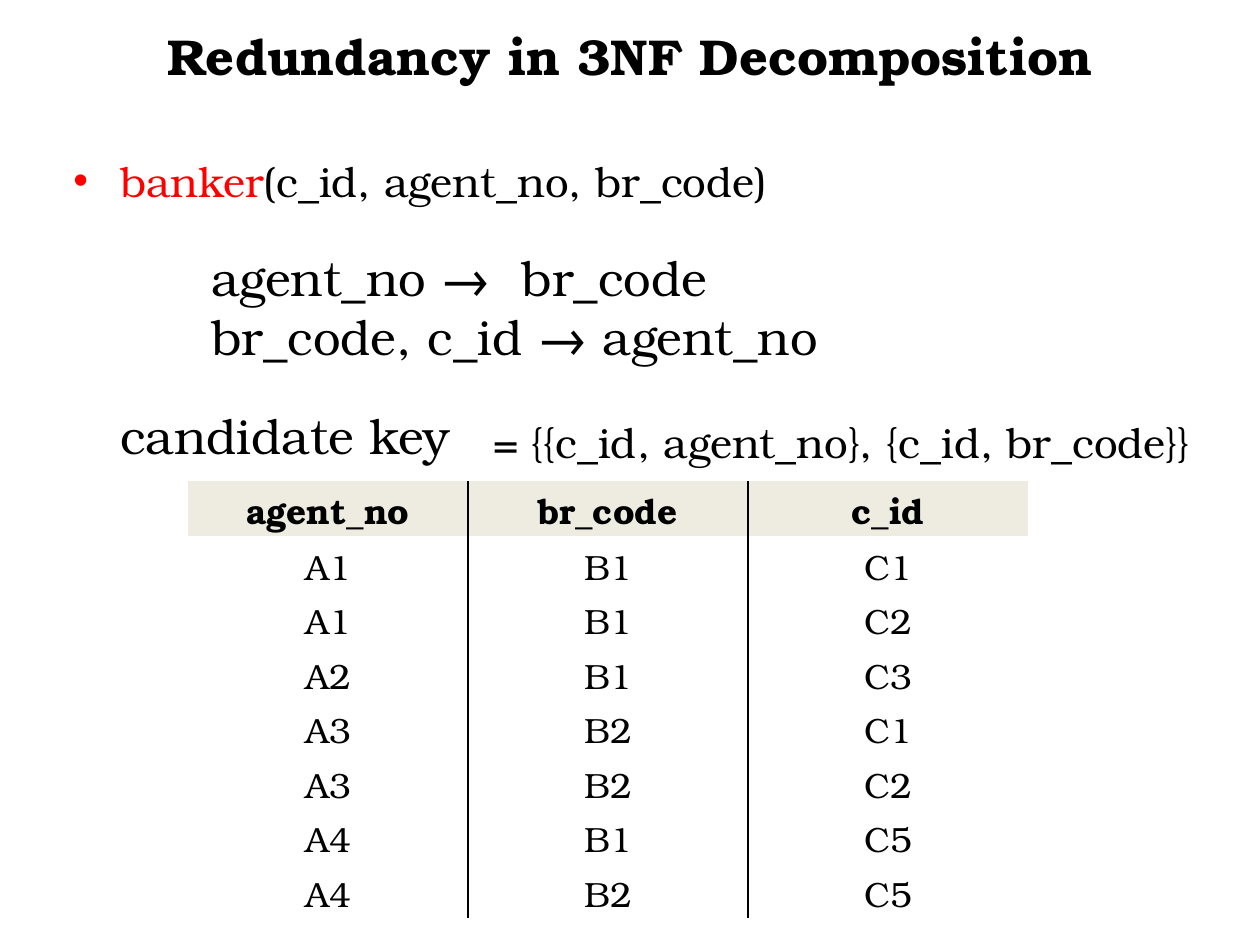
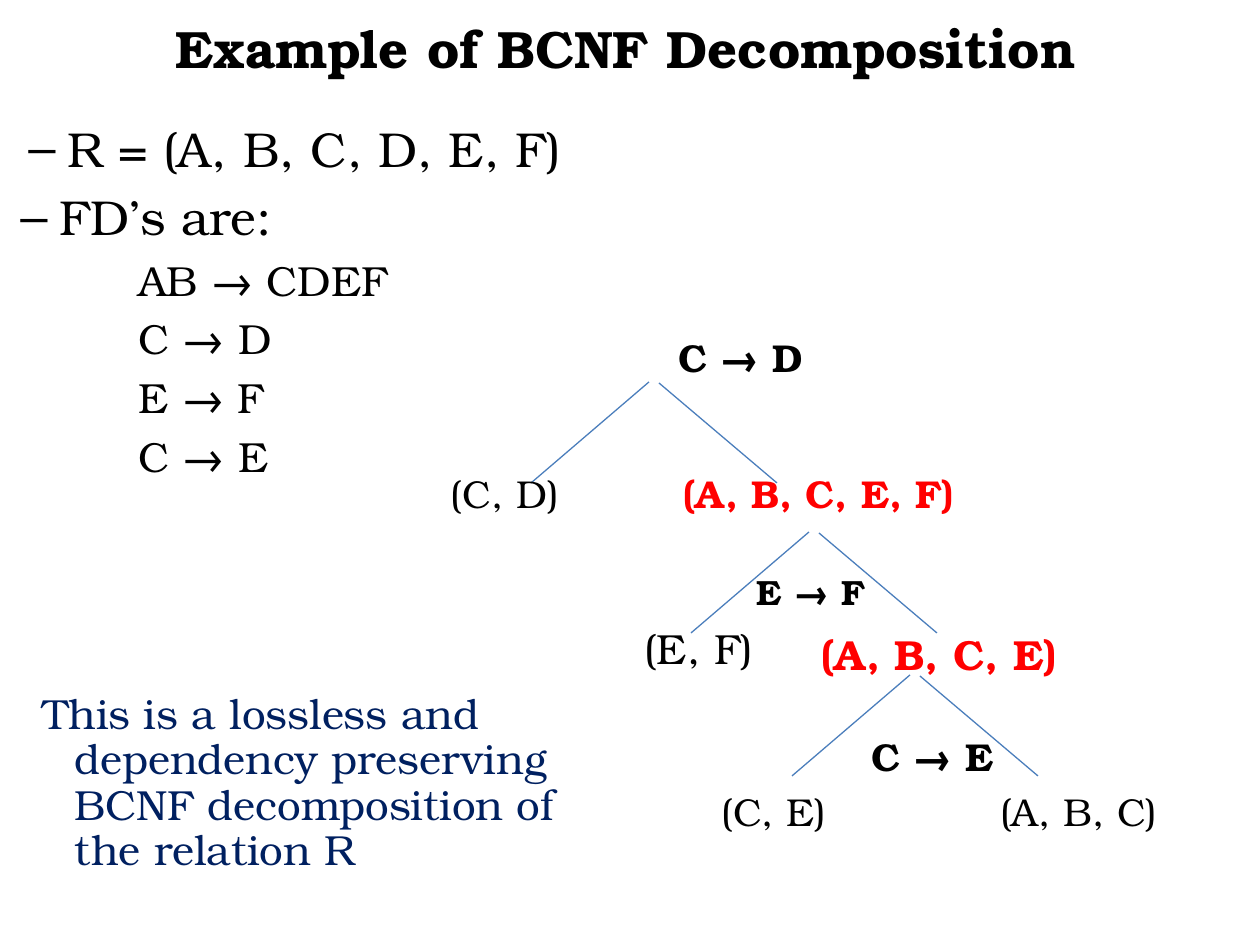
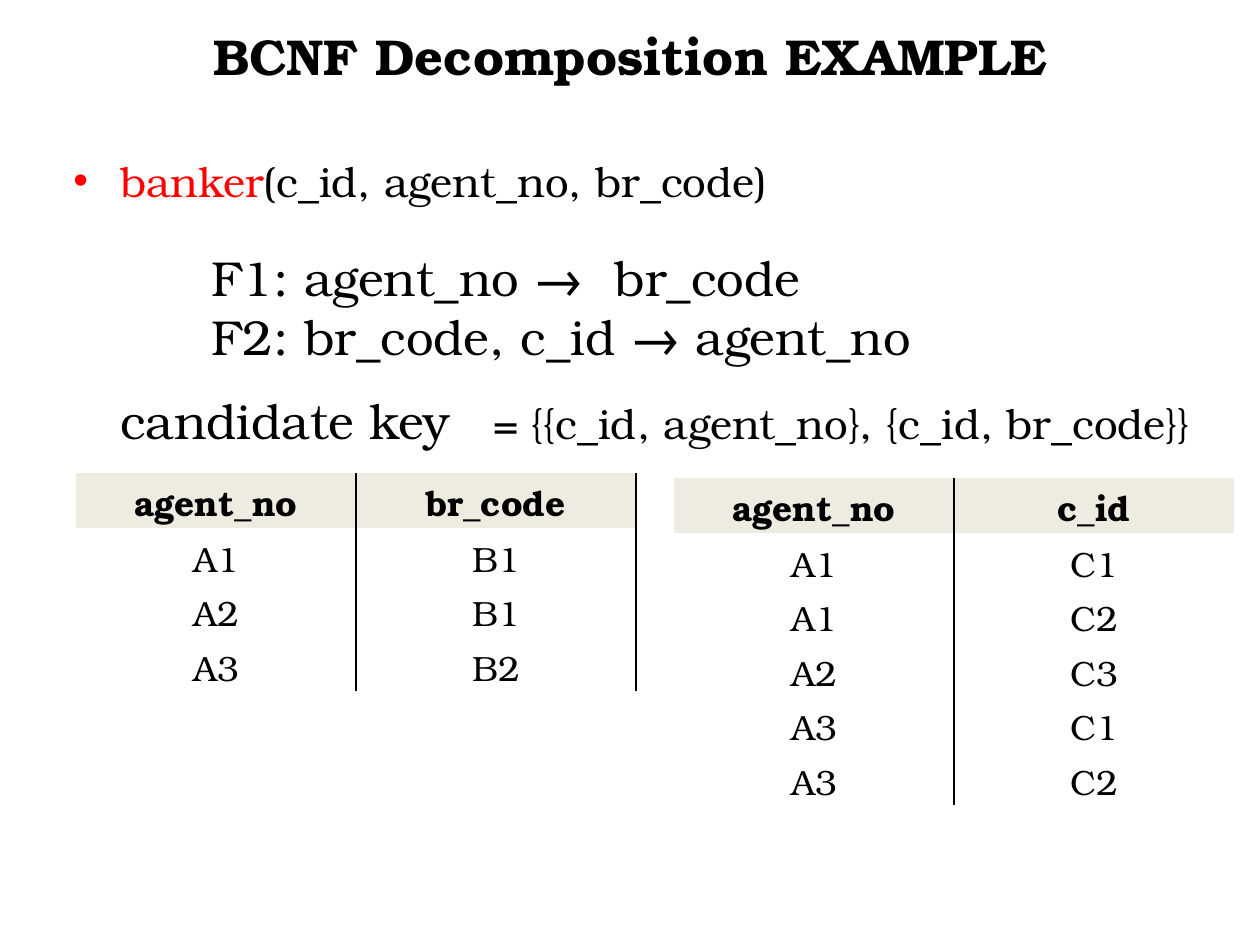
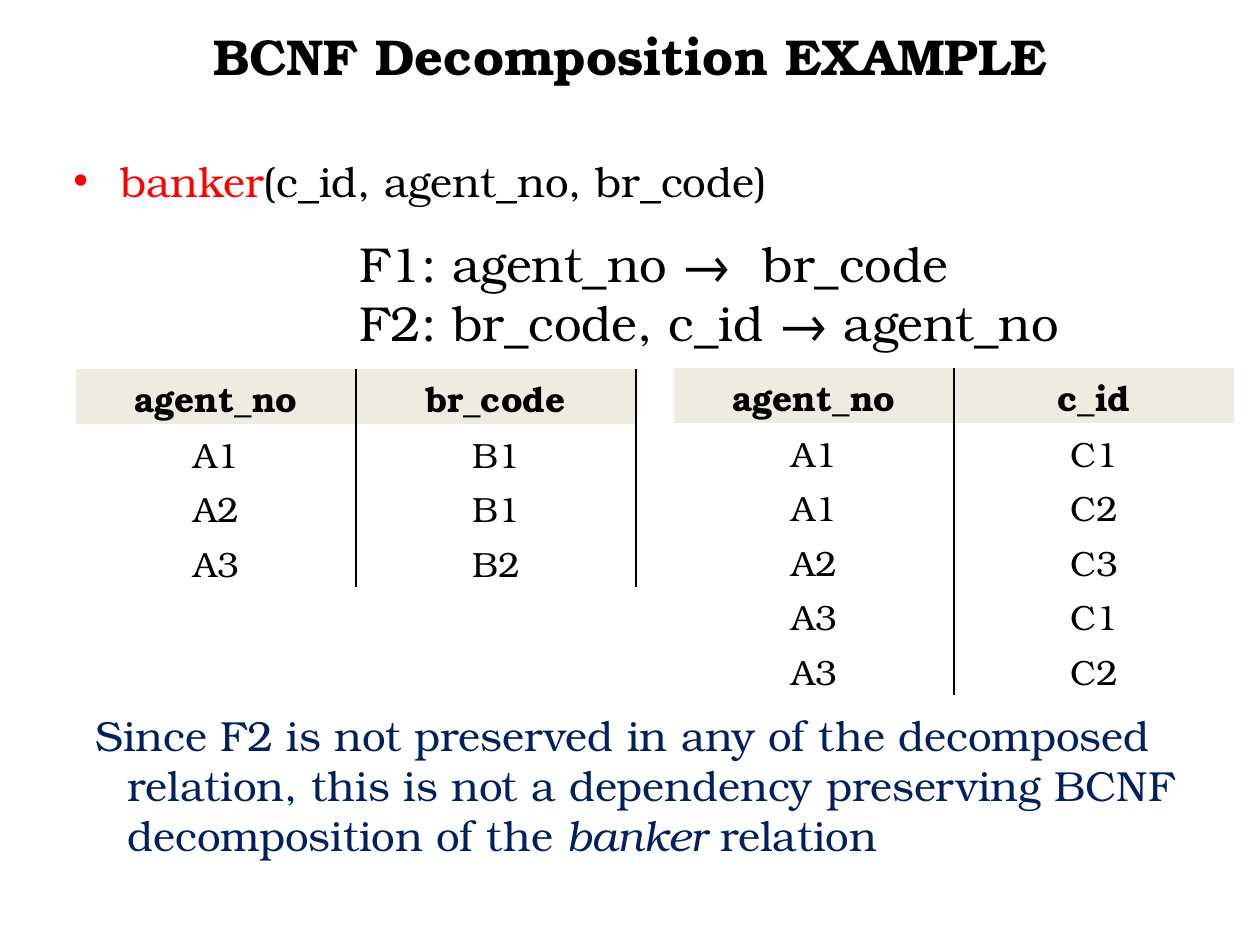
from lxml.etree import SubElement
from pptx import Presentation
from pptx.dml.color import RGBColor
from pptx.enum.shapes import MSO_CONNECTOR
from pptx.enum.text import MSO_ANCHOR, MSO_AUTO_SIZE, PP_ALIGN
from pptx.oxml.ns import qn
from pptx.util import Inches, Pt

PX = 7257
FONT = "TeX Gyre Bonum"
BLACK = RGBColor(0x00, 0x00, 0x00)
WHITE = RGBColor(0xFF, 0xFF, 0xFF)
RED = RGBColor(0xFF, 0x00, 0x00)
NAVY = RGBColor(0x00, 0x20, 0x60)
BLUE = RGBColor(0x4B, 0x7E, 0xBC)
CREAM = RGBColor(0xEE, 0xEC, 0xE1)
COL_W = 280 * PX
ROW_H = 273 * PX // 5


def write(shape, paras, align=PP_ALIGN.LEFT, anchor=MSO_ANCHOR.TOP, spacing=None):
    tf = shape.text_frame
    tf.word_wrap = True
    tf.auto_size = MSO_AUTO_SIZE.NONE
    tf.vertical_anchor = anchor
    for i, (runs, left, first, bullet) in enumerate(paras):
        p = tf.add_paragraph() if i else tf.paragraphs[0]
        p.alignment = align
        if spacing:
            p.line_spacing = spacing
        pPr = p._p.get_or_add_pPr()
        pPr.set("marL", str(left * PX))
        pPr.set("indent", str(first * PX))
        if bullet:
            p.space_before = Pt(round(runs[0][1] * 0.2, 1))
            if bullet != "none":
                SubElement(pPr, qn("a:buFont"), typeface="Arial")
                SubElement(pPr, qn("a:buChar"), char=bullet)
        for text, size, color, *style in runs:
            r = p.add_run()
            r.text = text
            r.font.name = FONT
            r.font.size = Pt(size)
            r.font.color.rgb = color
            r.font.bold = "b" in style
            r.font.italic = "i" in style


def add_grid(s, x, y, rows):
    n = len(rows[0])
    table = s.shapes.add_table(len(rows), n, x * PX, y * PX, n * COL_W, len(rows) * ROW_H).table
    table.first_row = table.horz_banding = False
    for column in table.columns:
        column.width = COL_W
    for i, row in enumerate(rows):
        table.rows[i].height = ROW_H
        for j, value in enumerate(row):
            cell = table.cell(i, j)
            cell.margin_top = (7 if i else 3) * PX
            cell.margin_bottom = 0
            lined = {"L": j > 0, "R": j < n - 1 or rows[0][j] == "br_code", "T": False, "B": False}
            for side, shown in lined.items():
                ln = SubElement(cell._tc.get_or_add_tcPr(), qn("a:ln" + side), w="12700")
                if shown:
                    SubElement(SubElement(ln, qn("a:solidFill")), qn("a:srgbClr"), val=str(BLACK))
                else:
                    SubElement(ln, qn("a:noFill"))
            cell.fill.solid()
            cell.fill.fore_color.rgb = WHITE if i else CREAM
            p = cell.text_frame.paragraphs[0]
            p.alignment = PP_ALIGN.CENTER
            r = p.add_run()
            r.text = value
            r.font.name = FONT
            r.font.size = Pt(20)
            r.font.bold = i == 0
            r.font.color.rgb = BLACK


prs = Presentation()
prs.slide_width, prs.slide_height = Inches(10), Inches(7.5)

titles = [
    ("Redundancy in 3NF Decomposition", 28.8, (63, 16, 1134, 78)),
    ("Example of BCNF Decomposition", 30, (59, 0, 1134, 95)),
    ("BCNF Decomposition EXAMPLE", 28.8, (63, 16, 1134, 78)),
    ("BCNF Decomposition EXAMPLE", 28.8, (63, 16, 1134, 78)),
]
slides = []
for text, size, box in titles:
    s = prs.slides.add_slide(prs.slide_layouts[5])
    title = s.shapes.title
    title.left, title.top, title.width, title.height = [v * PX for v in box]
    write(title, [([(text, size, BLACK, "b")], 0, 0, None)], PP_ALIGN.CENTER, MSO_ANCHOR.MIDDLE)
    slides.append(s)
redundancy, tree, split, preserved = slides

for s, prefixes, x, y, indent in [
    (redundancy, ("", ""), 88, 241, 111),
    (split, ("F1: ", "F2: "), 88, 241, 111),
    (preserved, ("F1: ", "F2: "), 347, 227, 0),
]:
    relation = s.shapes.add_textbox(60 * PX, 149 * PX, 1200 * PX, 745 * PX)
    write(relation, [([("banker", 24, RED), ("(c_id, agent_no, br_code)", 24, BLACK)], 48, -47, "•")])
    dependencies = s.shapes.add_textbox(x * PX, y * PX, (946 if indent else 811) * PX, 131 * PX)
    rules = ("agent_no →  br_code", "br_code, c_id → agent_no")
    write(dependencies, [([(a + b, 28, BLACK)], indent, 0, None) for a, b in zip(prefixes, rules)])

for s, name_y, keys_y in [(redundancy, 399, 410), (split, 384, 391)]:
    for text, size, x, y, w, h in [
        ("candidate key", 28, 83, name_y, 402, 72),
        ("= {{c_id, agent_no}, {c_id, br_code}}", 24, 456, keys_y, 766, 63),
    ]:
        box = s.shapes.add_textbox(x * PX, y * PX, w * PX, h * PX)
        write(box, [([(text, size, BLACK)], 25, 0, None)])

add_grid(redundancy, 188, 481, [
    ("agent_no", "br_code", "c_id"),
    ("A1", "B1", "C1"),
    ("A1", "B1", "C2"),
    ("A2", "B1", "C3"),
    ("A3", "B2", "C1"),
    ("A3", "B2", "C2"),
    ("A4", "B1", "C5"),
    ("A4", "B2", "C5"),
])
agent_branch = [("agent_no", "br_code"), ("A1", "B1"), ("A2", "B1"), ("A3", "B2")]
agent_client = [("agent_no", "c_id"), ("A1", "C1"), ("A1", "C2"), ("A2", "C3"), ("A3", "C1"), ("A3", "C2")]
for s, left_y, right_y in [(split, 473, 478), (preserved, 369, 368)]:
    add_grid(s, 76, left_y, agent_branch)
    add_grid(s, 674, right_y, agent_client)

schema = tree.shapes.add_textbox(0, 112 * PX, 578 * PX, 471 * PX)
paras = [
    ([("R = (A, B, C, D, E, F)", 28, BLACK)], 55, -39, "–"),
    ([("FD’s are:", 28, BLACK)], 47, -39, "–"),
]
for text in ("AB → CDEF", "C → D", "E → F", "C → E"):
    paras.append(([(text, 24, BLACK)], 126, 0, "none"))
write(schema, paras)

for x, y in [(649, 382), (809, 532), (910, 675)]:
    for x1, y1, x2 in [(x, y, x - 118), (x + 10, y + 1, x + 128)]:
        branch = tree.shapes.add_connector(MSO_CONNECTOR.STRAIGHT, x1 * PX, y1 * PX, x2 * PX, (y + 101) * PX)
        branch.line.color.rgb = BLUE
        branch.line.width = Pt(0.75)
        SubElement(branch._element.spPr, qn("a:effectLst"))

for text, size, color, style, x, y in [
    ("C → D", 22.2, BLACK, "b", 741, 357),
    ("(C, D)", 22.2, BLACK, "", 505, 493),
    ("(A, B, C, E, F)", 22.2, RED, "b", 819, 493),
    ("E → F", 20, BLACK, "b", 811, 592),
    ("(E, F)", 24, BLACK, "", 699, 648),
    ("(A, B, C, E)", 24, RED, "b", 939, 654),
    ("C → E", 22.2, BLACK, "b", 933, 756),
    ("(C, E)", 22.2, BLACK, "", 774, 811),
    ("(A, B, C)", 22.2, BLACK, "", 1079, 811),
]:
    w = 320 if color == RED else 200
    label = tree.shapes.add_textbox((x - w // 2) * PX, (y - 30) * PX, w * PX, 60 * PX)
    write(label, [([(text, size, color, style)], 0, 0, None)], PP_ALIGN.CENTER, MSO_ANCHOR.MIDDLE)

lossless = "This is a lossless and dependency preserving BCNF decomposition of the relation R"
lost = (
    "Since F2 is not preserved in any of the decomposed relation, "
    "this is not a dependency preserving BCNF decomposition of the "
)
for s, box, runs, spacing in [
    (tree, (0, 687, 643, 205), [(lossless, 24, NAVY)], 0.9),
    (preserved, (53, 703, 1173, 205),
     [(lost, 24, NAVY), ("banker ", 24, NAVY, "i"), ("relation", 24, NAVY)], None),
]:
    note = s.shapes.add_textbox(*[v * PX for v in box])
    write(note, [(runs, 62, -32, None)], spacing=spacing)

prs.save("out.pptx")
